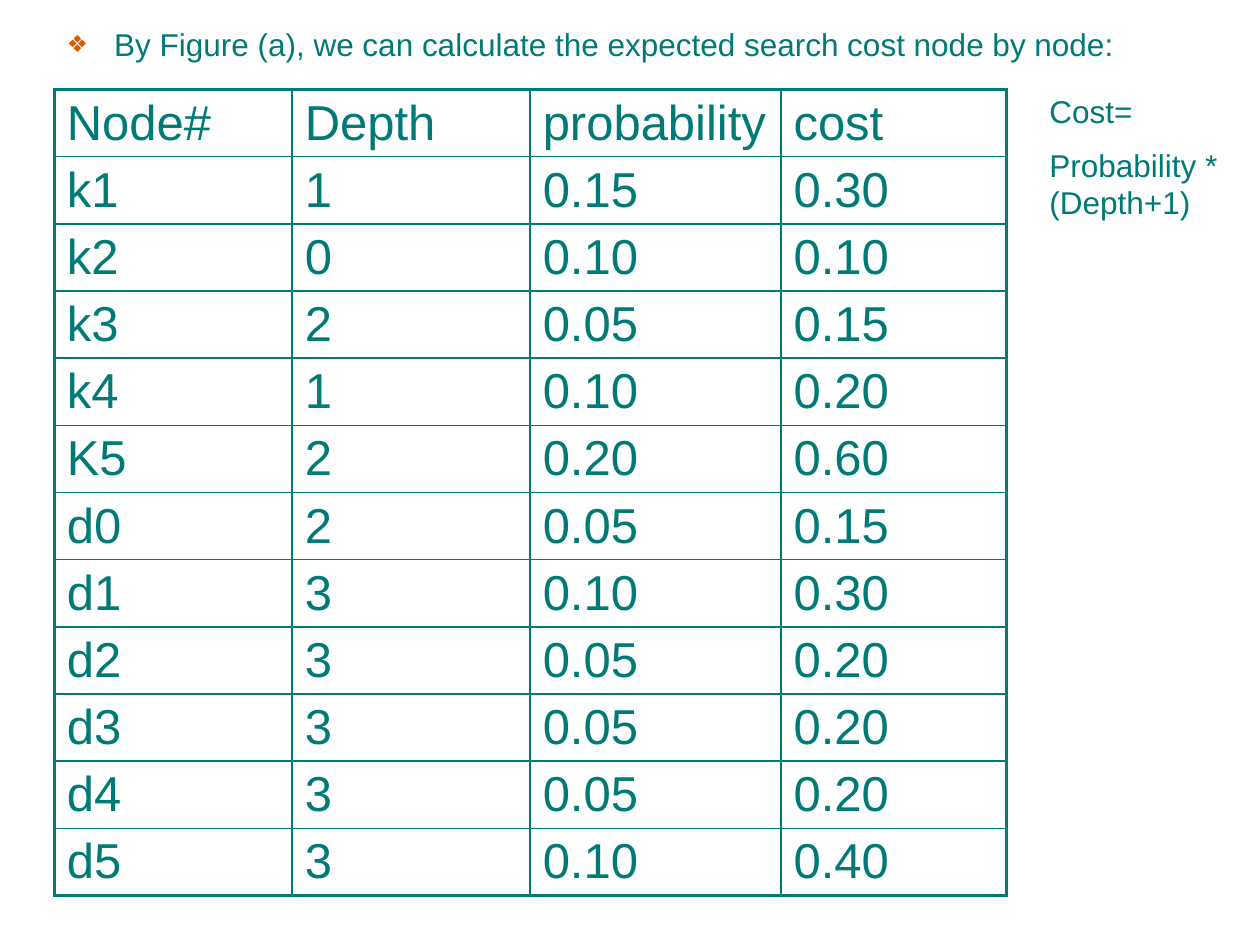
from lxml import etree
from pptx import Presentation
from pptx.dml.color import RGBColor
from pptx.enum import text
from pptx.oxml import ns
from pptx.util import Pt

TEAL = RGBColor(0x00, 0x7A, 0x77)
ORANGE = RGBColor(0xDC, 0x59, 0x00)

INTRO = "By Figure (a), we can calculate the expected search cost node by node:"
FORMULA = ["Cost=", "Probability * (Depth+1)"]
COSTS = [
    ("Node#", "Depth", "probability", "cost"),
    ("k1", "1", "0.15", "0.30"),
    ("k2", "0", "0.10", "0.10"),
    ("k3", "2", "0.05", "0.15"),
    ("k4", "1", "0.10", "0.20"),
    ("K5", "2", "0.20", "0.60"),
    ("d0", "2", "0.05", "0.15"),
    ("d1", "3", "0.10", "0.30"),
    ("d2", "3", "0.05", "0.20"),
    ("d3", "3", "0.05", "0.20"),
    ("d4", "3", "0.05", "0.20"),
    ("d5", "3", "0.10", "0.40"),
]
COLUMN_WIDTHS = [136, 136, 143.3, 128.9]
ROW_HEIGHT = 38.4
TABLE_LEFT, TABLE_TOP = 31, 51.1
OUTER_LINE, INNER_LINE = 2.25, 1
CELL_FORMAT = {"margin_top": Pt(3.6), "margin_bottom": Pt(2.6)}


def write(paragraph, words, size):
    run = paragraph.add_run()
    run.text = words
    for name, value in {"size": Pt(size), "name": "Arial", "bold": False}.items():
        setattr(run.font, name, value)
    run.font.color.rgb = TEAL


def add_child(parent, tag, **attributes):
    child = etree.SubElement(parent, ns.qn(tag))
    for name, value in attributes.items():
        child.set(name, str(value))
    return child


def add_bullet(paragraph, character, indent):
    properties = paragraph._p.get_or_add_pPr()
    properties.set("marL", str(Pt(indent)))
    properties.set("indent", str(-Pt(indent)))
    add_child(add_child(properties, "a:buClr"), "a:srgbClr", val=ORANGE)
    add_child(properties, "a:buSzPct", val=75000)
    add_child(properties, "a:buChar", char=character)


def add_borders(cell, row, column):
    """Draw a thick line on the table's outer edges and a thin one inside."""
    outer = {
        "a:lnL": column == 0,
        "a:lnR": column == len(COLUMN_WIDTHS) - 1,
        "a:lnT": row == 0,
        "a:lnB": row == len(COSTS) - 1,
    }
    properties = cell._tc.get_or_add_tcPr()
    for tag, is_outer in outer.items():
        line = add_child(properties, tag, w=Pt(OUTER_LINE if is_outer else INNER_LINE))
        add_child(add_child(line, "a:solidFill"), "a:srgbClr", val=TEAL)


def add_intro(slide):
    body = slide.placeholders[1]
    body.left, body.top, body.width, body.height = Pt(31), Pt(15.1), Pt(652.3), Pt(33.8)
    body.text_frame.auto_size = text.MSO_AUTO_SIZE.NONE
    paragraph = body.text_frame.paragraphs[0]
    paragraph.line_spacing = 0.8
    add_bullet(paragraph, "❖", 27)
    write(paragraph, INTRO, 18)


def add_cost_table(slide):
    table = slide.shapes.add_table(
        len(COSTS), len(COLUMN_WIDTHS), Pt(TABLE_LEFT), Pt(TABLE_TOP),
        Pt(sum(COLUMN_WIDTHS)), Pt(ROW_HEIGHT * len(COSTS))).table
    table.first_row = table.horz_banding = False
    for column, width in zip(table.columns, COLUMN_WIDTHS):
        column.width = Pt(width)
    for row_index, values in enumerate(COSTS):
        table.rows[row_index].height = Pt(ROW_HEIGHT)
        for column_index, value in enumerate(values):
            cell = table.cell(row_index, column_index)
            for name, setting in CELL_FORMAT.items():
                setattr(cell, name, setting)
            add_borders(cell, row_index, column_index)
            cell.fill.background()
            write(cell.text_frame.paragraphs[0], value, 28)


def add_formula(slide):
    frame = slide.shapes.add_textbox(Pt(592.6), Pt(49), Pt(118.8), Pt(82.8)).text_frame
    frame.word_wrap = True
    frame.auto_size = text.MSO_AUTO_SIZE.SHAPE_TO_FIT_TEXT
    for index, words in enumerate(FORMULA):
        paragraph = frame.add_paragraph() if index else frame.paragraphs[0]
        paragraph.space_before = Pt(9)
        write(paragraph, words, 18)


def main():
    presentation = Presentation()
    presentation.slide_width, presentation.slide_height = Pt(720), Pt(540)
    slide = presentation.slides.add_slide(presentation.slide_layouts[1])
    title = slide.shapes.title._element
    title.getparent().remove(title)
    add_intro(slide)
    add_cost_table(slide)
    add_formula(slide)
    presentation.save("out.pptx")


if __name__ == "__main__":
    main()
